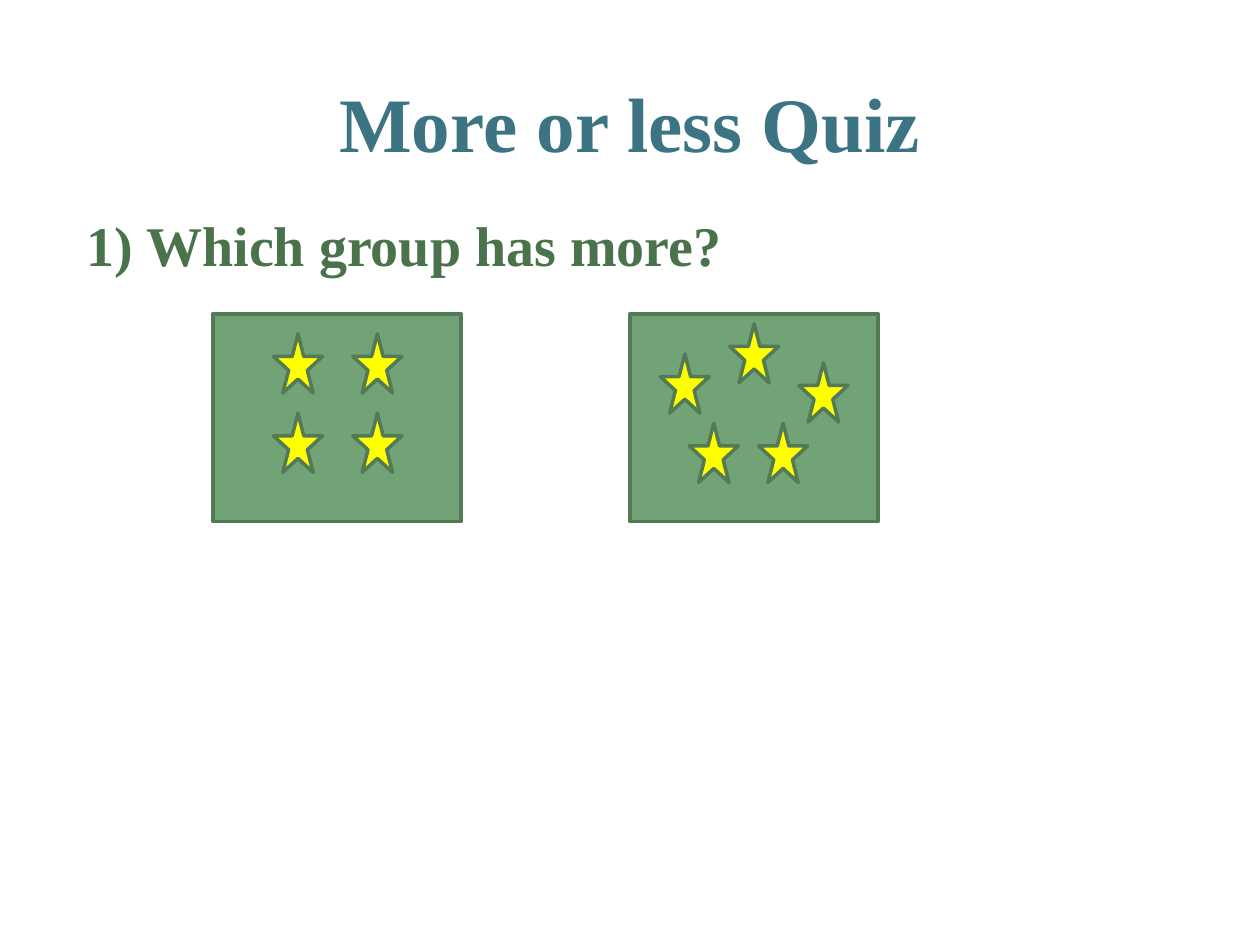
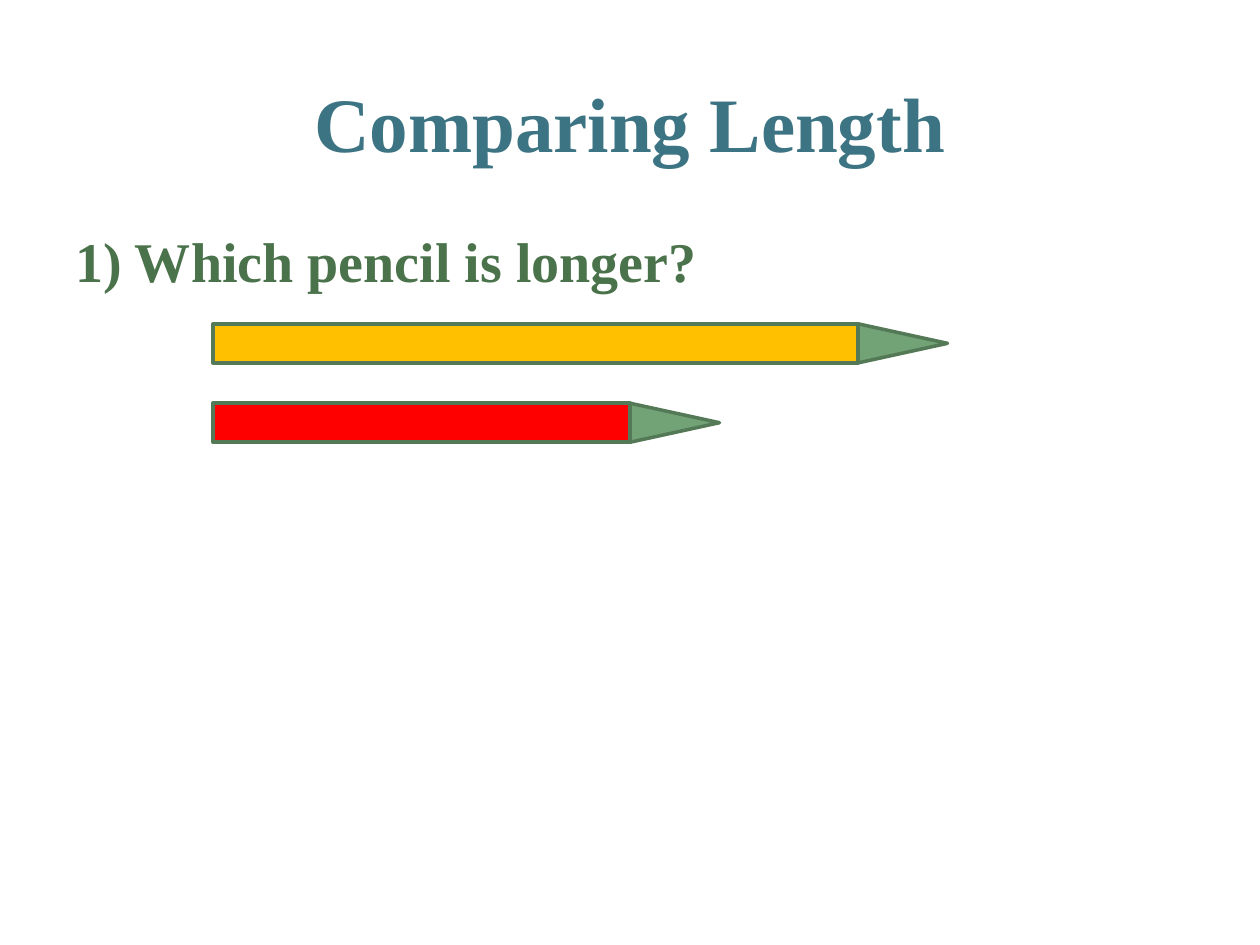
"""Build two quiz slides: comparing group sizes and comparing pencil lengths."""
from dataclasses import dataclass
from itertools import product

from pptx import Presentation
from pptx import util as u
from pptx.dml.color import RGBColor
from pptx.enum import shapes, text


@dataclass(frozen=True)
class Theme:
    font: str = "Times New Roman"
    title_color: str = "3C7483"
    question_color: str = "4B734B"
    green: str = "72A376"
    outline: str = "547957"
    yellow: str = "FFFF00"
    amber: str = "FFC000"
    red: str = "FF0000"
    title_size: int = 44
    question_size: int = 32
    line_width: int = 2


THEME = Theme()
TITLE_FORMAT = {
    "frame": {"margin_top": u.Inches(0.02), "margin_bottom": 0},
    "paragraph": {"alignment": text.PP_ALIGN.CENTER},
    "font": {"size": u.Pt(THEME.title_size)},
    "color": THEME.title_color,
}
QUESTION_FORMAT = {
    "frame": {},
    "paragraph": {"alignment": text.PP_ALIGN.LEFT, "space_before": u.Pt(4.5)},
    "font": {"size": u.Pt(THEME.question_size)},
    "color": THEME.question_color,
}


def add_text(slide, words, box, style):
    frame = slide.shapes.add_textbox(*map(u.Inches, box)).text_frame
    paragraph = frame.paragraphs[0]
    paragraph.text = words
    font = paragraph.runs[0].font
    font.color.rgb = RGBColor.from_string(style["color"])
    formats = (
        (frame, {"word_wrap": True, **style["frame"]}),
        (paragraph, style["paragraph"]),
        (font, {"name": THEME.font, "bold": True, **style["font"]}),
    )
    for target, values in formats:
        for name, value in values.items():
            setattr(target, name, value)


def add_figure(slide, kind, box, fill, rotation=0):
    shape = slide.shapes.add_shape(kind, *map(u.Inches, box))
    shape.shadow.inherit = False
    shape.rotation = rotation
    shape.fill.solid()
    shape.fill.fore_color.rgb = RGBColor.from_string(fill)
    shape.line.color.rgb = RGBColor.from_string(THEME.outline)
    shape.line.width = u.Pt(THEME.line_width)


presentation = Presentation()
presentation.slide_width = u.Inches(10)
presentation.slide_height = u.Inches(7.5)

pages = (
    ("More or less Quiz", "1) Which group has more?", (0.59, 1.62, 8.5, 0.66)),
    ("Comparing Length", "1) Which pencil is longer?", (0.5, 1.75, 9, 0.58)),
)
for title, question, question_box in pages:
    slide = presentation.slides.add_slide(presentation.slide_layouts[6])
    add_text(slide, title, (0.5, 0.58, 9, 0.62), TITLE_FORMAT)
    add_text(slide, question, question_box, QUESTION_FORMAT)
quiz_slide, length_slide = presentation.slides

square_of_stars = list(product((2.17, 2.8), (2.65, 3.28)))
ring_of_stars = [(5.24, 2.81), (6.34, 2.88), (5.47, 3.36), (5.79, 2.57), (6.02, 3.36)]
for card_left, stars in ((1.69, square_of_stars), (5, ring_of_stars)):
    card_box = (card_left, 2.49, 1.97, 1.65)
    add_figure(quiz_slide, shapes.MSO_SHAPE.RECTANGLE, card_box, THEME.green)
    for left, top in stars:
        star_box = (left, top, 0.39, 0.47)
        add_figure(quiz_slide, shapes.MSO_SHAPE.STAR_5_POINT, star_box, THEME.yellow)

pencil_left, pencil_height, tip_length = 1.69, 0.31, 0.71
tip_shift = (tip_length - pencil_height) / 2
for top, body_length, color in ((2.57, 5.12, THEME.amber), (3.2, 3.31, THEME.red)):
    body_box = (pencil_left, top, body_length, pencil_height)
    tip_left = pencil_left + body_length + tip_shift
    tip_box = (tip_left, top - tip_shift, pencil_height, tip_length)
    add_figure(length_slide, shapes.MSO_SHAPE.RECTANGLE, body_box, color)
    add_figure(length_slide, shapes.MSO_SHAPE.ISOSCELES_TRIANGLE, tip_box, THEME.green, 90)

presentation.save("out.pptx")
